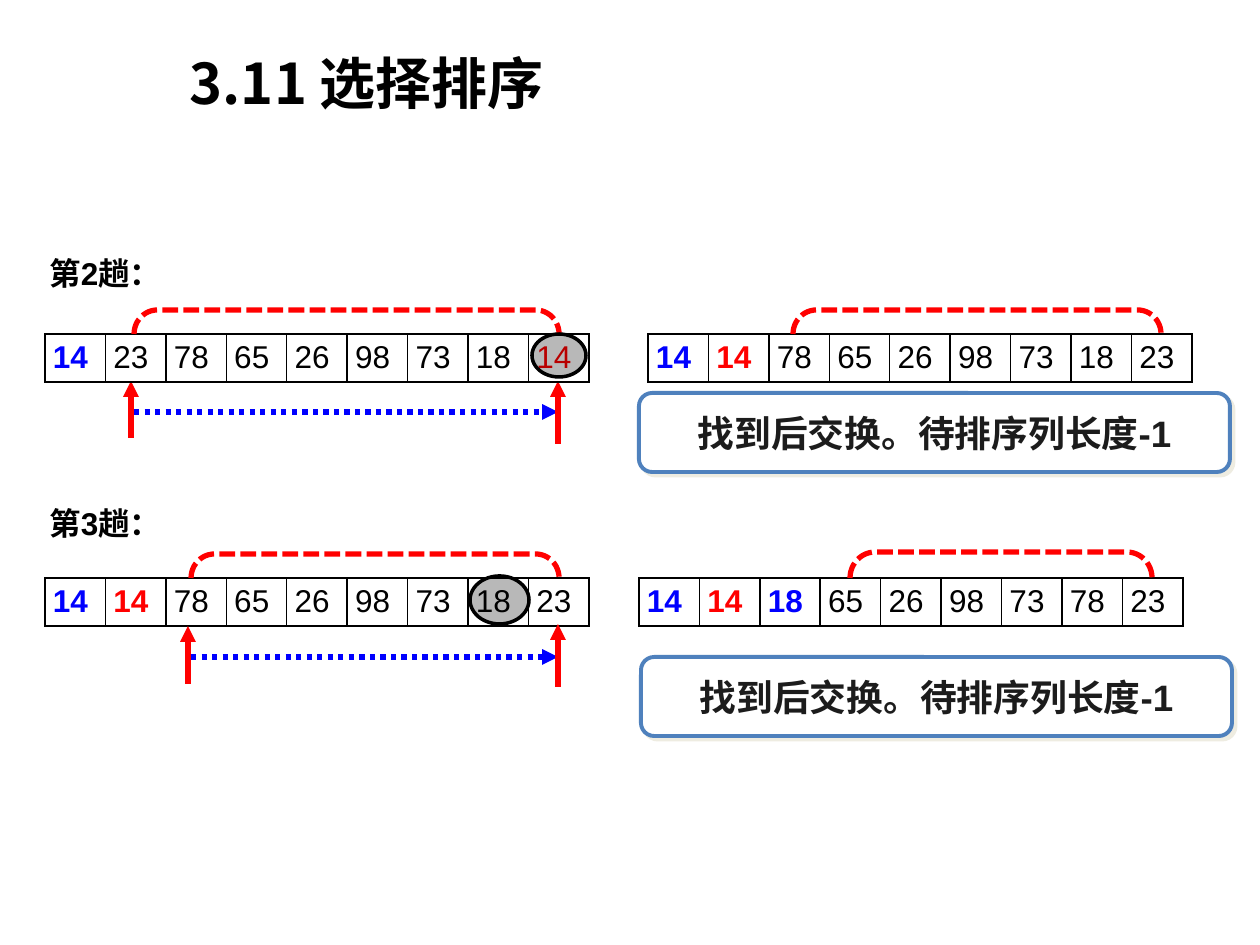
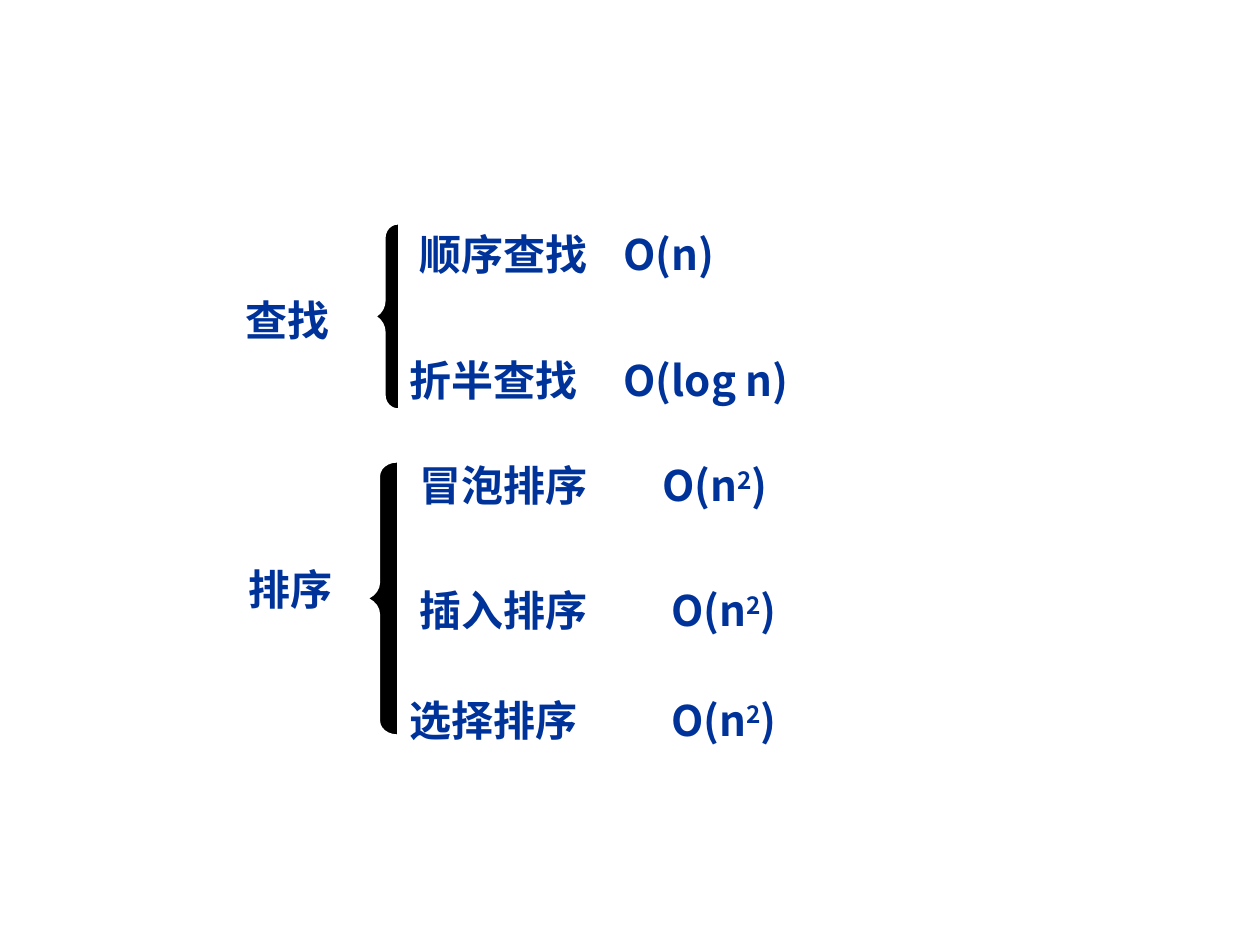
from lxml.etree import SubElement
from pptx import Presentation
from pptx.dml.color import RGBColor
from pptx.enum.dml import MSO_LINE
from pptx.enum.shapes import MSO_CONNECTOR, MSO_SHAPE
from pptx.enum.text import MSO_ANCHOR, MSO_AUTO_SIZE, PP_ALIGN
from pptx.oxml.ns import qn
from pptx.util import Pt

PX = 914400 / 126

BLACK = RGBColor(0x00, 0x00, 0x00)
WHITE = RGBColor(0xFF, 0xFF, 0xFF)
RED = RGBColor(0xFF, 0x00, 0x00)
BLUE = RGBColor(0x00, 0x00, 0xFF)
NAVY = RGBColor(0x00, 0x33, 0x99)
STEEL = RGBColor(0x4F, 0x81, 0xBD)
INK = RGBColor(0x1C, 0x1C, 0x1C)
SHADOW = RGBColor(0xEE, 0xEC, 0xE1)

ARIAL = "Arial"
NOTO = "Noto Sans CJK SC"
TIMES = "Times New Roman"

ROW_WIDTH, ROW_HEIGHT = 544, 48
INSET = 13


def px(n):
    return round(n * PX)


def box(*lengths):
    return [px(n) for n in lengths]


def style_run(r, size, color, font=ARIAL, ea=ARIAL, bold=True):
    """Format a run; ea is the typeface for its Chinese characters."""
    r.font.size, r.font.bold, r.font.name = Pt(size), bold, font
    r.font.color.rgb = color
    SubElement(r.font._element, qn("a:ea"), typeface=ea)


def add_text(slide, left, top, width, height):
    tf = slide.shapes.add_textbox(*box(left, top, width, height)).text_frame
    tf.word_wrap = True
    return tf


def add_outline(slide, kind, bounds, color, width, fill=None):
    sp = slide.shapes.add_shape(kind, *bounds)
    sp.shadow.inherit = False
    sp.line.color.rgb, sp.line.width = color, Pt(width)
    if fill is None:
        sp.fill.background()
    else:
        sp.fill.solid()
        sp.fill.fore_color.rgb = fill
    return sp


def set_title(slide, text, left, top, width, height):
    title = slide.shapes.title
    title.left, title.top, title.width, title.height = box(left, top, width, height)
    tf = title.text_frame
    tf.text = text
    tf.auto_size, tf.word_wrap = MSO_AUTO_SIZE.NONE, False
    tf.vertical_anchor = MSO_ANCHOR.MIDDLE
    tf.paragraphs[0].alignment = PP_ALIGN.CENTER
    style_run(tf.paragraphs[0].runs[0], 32, BLACK, NOTO, NOTO)


def add_pass_label(slide, text, top):
    tf = add_text(slide, 37, top, 140, 50)
    tf.word_wrap = False
    tf.text = text
    style_run(tf.paragraphs[0].runs[0], 18, BLACK)


def add_arrow(slide, x1, y1, x2, y2, color, dash=None):
    line = slide.shapes.add_connector(MSO_CONNECTOR.STRAIGHT, *box(x1, y1, x2, y2))
    line.line.color.rgb, line.line.width = color, Pt(3)
    if dash is not None:
        line.line.dash_style = dash
    SubElement(line.line._get_or_add_ln(), qn("a:tailEnd"), type="triangle")
    SubElement(line._element.spPr, qn("a:effectLst"))


def add_scan(slide, start, end, top, reach, start_foot, end_foot, end_top):
    """Two red pointers joined by the dotted path of the search."""
    add_arrow(slide, start, start_foot, start, top, RED)
    add_arrow(slide, start + 3, reach, end, reach, BLUE, MSO_LINE.ROUND_DOT)
    add_arrow(slide, end, end_foot, end, end_top, RED)


def add_cell_borders(cell):
    tcPr = cell._tc.get_or_add_tcPr()
    for i, side in enumerate(("lnL", "lnR", "lnT", "lnB")):
        ln = tcPr.makeelement(qn(f"a:{side}"), {"w": str(Pt(1))})
        tcPr.insert(i, ln)
        fill = SubElement(ln, qn("a:solidFill"))
        SubElement(fill, qn("a:srgbClr"), val=str(BLACK))


def add_number_row(slide, left, top, numbers, done, found=None):
    """One array as a table; done lists the colours of its sorted head."""
    bounds = box(left, top, ROW_WIDTH, ROW_HEIGHT)
    table = slide.shapes.add_table(1, len(numbers), *bounds).table
    table.first_row = table.horz_banding = False
    for i, number in enumerate(numbers):
        cell = table.cell(0, i)
        cell.fill.background()
        cell.margin_left = cell.margin_right = px(8)
        cell.margin_top = cell.margin_bottom = 0
        cell.vertical_anchor = MSO_ANCHOR.MIDDLE
        cell.text = str(number)
        p = cell.text_frame.paragraphs[0]
        p.alignment = PP_ALIGN.JUSTIFY
        is_done = i < len(done)
        color = done[i] if is_done else RED if i == found else BLACK
        style_run(p.runs[0], 18, color, bold=is_done)
        add_cell_borders(cell)


def add_swap_bracket(slide, left, top, width, height):
    """Dashed bracket opening downwards; the bounds are those after rotation."""
    x = left + (width - height) / 2
    y = top + (height - width) / 2
    sp = add_outline(slide, MSO_SHAPE.LEFT_BRACKET, box(x, y, height, width), RED, 3)
    sp.rotation = 90
    sp.adjustments[0] = 0.975
    sp.line.dash_style = MSO_LINE.SQUARE_DOT


def add_minimum_ring(slide, left, top, width, height):
    bounds = box(left, top, width, height)
    sp = add_outline(slide, MSO_SHAPE.OVAL, bounds, BLACK, 2, BLACK)
    color = sp._element.spPr.find(f"{qn('a:solidFill')}/{qn('a:srgbClr')}")
    SubElement(color, qn("a:alpha"), val="28000")


def add_callout(slide, text, left, top):
    bounds = box(left, top, 591, 79)
    sp = add_outline(slide, MSO_SHAPE.ROUNDED_RECTANGLE, bounds, STEEL, 2.25, WHITE)
    effects = sp._element.spPr.find(qn("a:effectLst"))
    shadow = SubElement(effects, qn("a:outerShdw"), dist=str(Pt(2.8)),
                        dir="2700000", algn="ctr", rotWithShape="0")
    SubElement(shadow, qn("a:srgbClr"), val=str(SHADOW))
    tf = sp.text_frame
    tf.text = text
    tf.word_wrap = True
    tf.vertical_anchor = MSO_ANCHOR.MIDDLE
    tf.paragraphs[0].alignment = PP_ALIGN.CENTER
    style_run(tf.paragraphs[0].runs[0], 21, INK)


def add_brace(slide, left, top, width, height, curl):
    bounds = box(left, top, width, height)
    sp = add_outline(slide, MSO_SHAPE.LEFT_BRACE, bounds, WHITE, 3, BLACK)
    sp.adjustments[0] = curl


def add_entry(slide, left, top, name, font, cost="", cost_x=0):
    """An algorithm name, with its cost at a tab stop; ^ marks a superscript."""
    tf = add_text(slide, left, top, 700 if cost else 200, 74)
    tf.margin_top = px(10)
    p = tf.paragraphs[0]
    if cost:
        tabs = SubElement(p._p.get_or_add_pPr(), qn("a:tabLst"))
        SubElement(tabs, qn("a:tab"), pos=str(px(cost_x - left - INSET)), algn="l")
    r = p.add_run()
    r.text = f"{name}\t" if cost else name
    style_run(r, 24, NAVY, font, NOTO)
    base, _, power = cost.partition("^")
    for part, raised in ((base, False), (power[:1], True), (power[1:], False)):
        if part:
            r = p.add_run()
            r.text = part
            style_run(r, 24, NAVY, NOTO, NOTO)
            if raised:
                r.font._element.set("baseline", "30000")


def build_selection_sort(prs):
    slide = prs.slides.add_slide(prs.slide_layouts[5])
    set_title(slide, "3.11 选择排序", 170, 42, 394, 81)

    add_pass_label(slide, "第2趟：", 248)
    add_scan(slide, 131, 558, 381, 412, 438, 444, 381)
    add_number_row(slide, 45, 334, [14, 23, 78, 65, 26, 98, 73, 18, 14], [BLUE], found=8)
    add_swap_bracket(slide, 134, 310, 425, 24)
    add_number_row(slide, 648, 334, [14, 14, 78, 65, 26, 98, 73, 18, 23], [BLUE, RED])
    add_swap_bracket(slide, 793, 310, 368, 24)

    add_pass_label(slide, "第3趟：", 498)
    add_number_row(slide, 45, 578, [14, 14, 78, 65, 26, 98, 73, 18, 23], [BLUE, RED])
    add_swap_bracket(slide, 191, 554, 368, 24)
    add_scan(slide, 188, 558, 626, 657, 684, 687, 624)
    add_number_row(slide, 639, 578, [14, 14, 18, 65, 26, 98, 73, 78, 23],
                   [BLUE, RED, BLUE])
    add_swap_bracket(slide, 850, 552, 302, 26)

    add_minimum_ring(slide, 532, 334, 54, 43)
    add_minimum_ring(slide, 470, 576, 59, 48)
    for left, top in ((639, 393), (641, 657)):
        add_callout(slide, "找到后交换。待排序列长度-1", left, top)


def build_complexity_summary(prs):
    slide = prs.slides.add_slide(prs.slide_layouts[6])
    add_entry(slide, 233, 285, "查找", NOTO)
    add_entry(slide, 236, 554, "排序", TIMES)
    add_brace(slide, 368, 222, 30, 189, 0.528)
    add_brace(slide, 358, 460, 39, 277, 0.414)
    entries = [
        (407, 219, "顺序查找", NOTO, "O(n)", 624),
        (397, 345, "折半查找", NOTO, "O(log n)", 624),
        (407, 450, "冒泡排序", TIMES, "O(n^2)", 663),
        (407, 575, "插入排序", TIMES, "O(n^2)", 672),
        (397, 684, "选择排序", TIMES, "O(n^2)", 672),
    ]
    for entry in entries:
        add_entry(slide, *entry)


def main():
    prs = Presentation()
    prs.slide_width, prs.slide_height = box(1260, 945)
    build_selection_sort(prs)
    build_complexity_summary(prs)
    prs.save("out.pptx")


if __name__ == "__main__":
    main()
